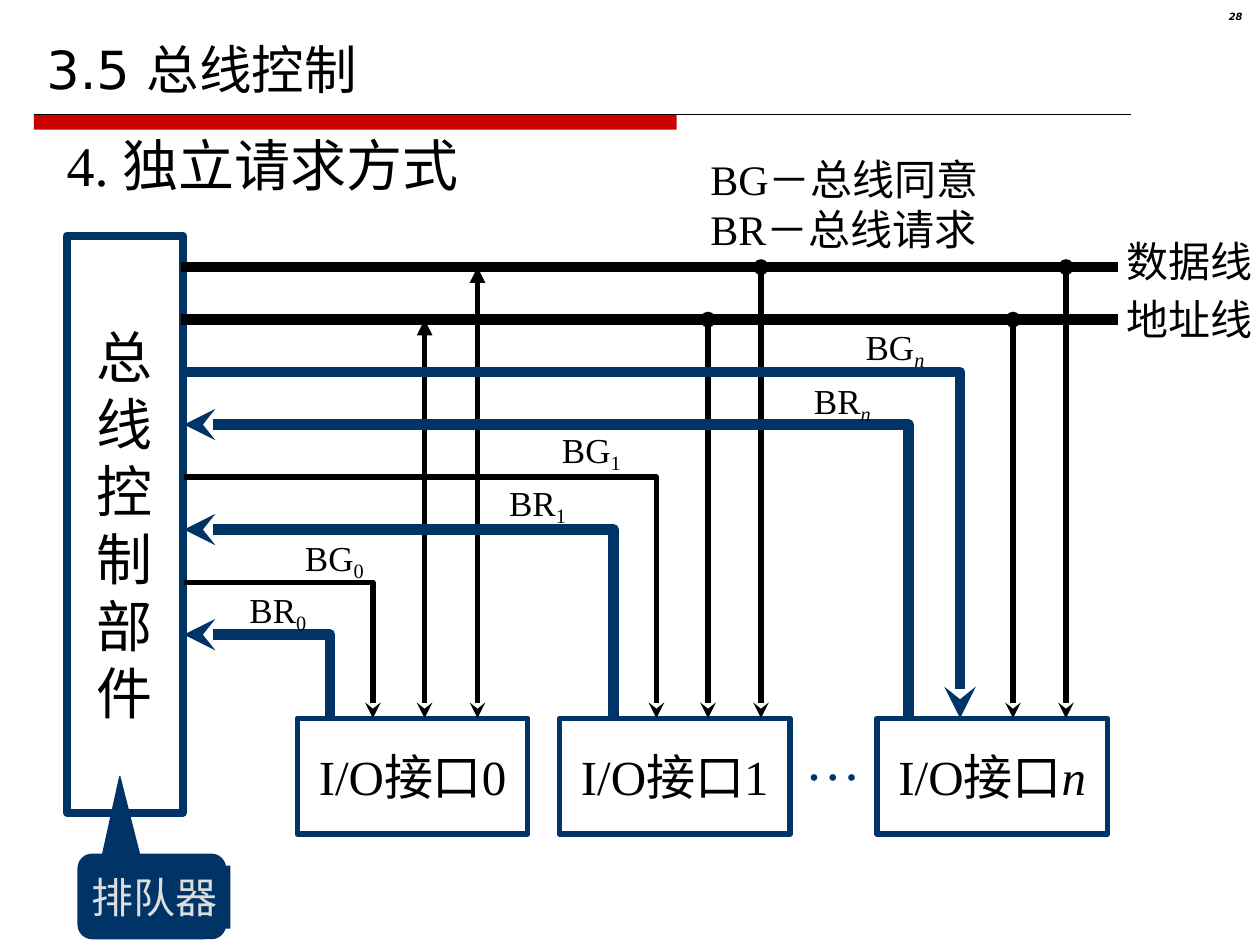
from lxml import etree
from pptx import Presentation
from pptx.dml.color import RGBColor
from pptx.enum import shapes, text
from pptx.oxml.ns import qn
from pptx.util import Inches, Pt

# Content
NAVY, BLACK, RED, PALE = "003366", "000000", "CC0000", "DDDDDD"
SERIF, SANS = "Times New Roman", "DejaVu Sans"
TITLE = "3.5 总线控制"
HEADING = "4. 独立请求方式"
LEGEND = ["BG－总线同意", "BR－总线请求"]
CONTROLLER = "总线控制部件"
BUSES = [("数据线", 1.82), ("地址线", 2.28)]  # label, label top

# Per interface: number, box left, x of BR, BG, address and data lines,
# BG line colour and width, bus-end arrowhead, (left, top) of BR and BG labels
INTERFACES = [
    ("0", 2.36, (2.62, 2.96, 3.37, 3.79), (BLACK, 3), "triangle",
     (1.98, 4.67), (2.42, 4.26)),
    ("1", 4.44, (4.87, 5.21, 5.62, 6.04), (BLACK, 3), "oval",
     (4.04, 3.82), (4.46, 3.40)),
    ("n", 6.96, (7.21, 7.62, 8.04, 8.46), (NAVY, 6), "oval",
     (6.46, 3.01), (6.87, 2.58)),
]

# Layout: buses and request lines share one vertical pitch
BUS_TOP, PITCH = 2.12, 5 / 12
BUS_LEFT, BUS_RIGHT, WIRE_LEFT = 1.44, 8.87, 1.46
IO_TOP, IO_W, IO_H = 5.7, 1.83, 0.92

prs = Presentation()
prs.slide_width, prs.slide_height = Inches(10), Inches(7.5)
s = prs.slides.add_slide(prs.slide_layouts[6])


def rgb(color):
    return RGBColor.from_string(color)


def style_line(sp, color, width, head=None, tail=None):
    sp.line.color.rgb = rgb(color)
    sp.line.width = Pt(width)
    ln = sp.line._get_or_add_ln()
    for tag, kind in (("a:headEnd", head), ("a:tailEnd", tail)):
        if kind:
            etree.SubElement(ln, qn(tag)).set("type", kind)


def write(sp, lines, size, color=BLACK, font=SERIF, align="LEFT", anchor="TOP",
          wrap=False, inset=True):
    """Fill sp with lines; each line is a string or a list of runs."""
    tf = sp.text_frame
    tf.word_wrap = wrap
    tf.vertical_anchor = getattr(text.MSO_ANCHOR, anchor)
    if not inset:
        tf.margin_left = tf.margin_right = tf.margin_top = tf.margin_bottom = 0
    for i, line in enumerate(lines):
        p = tf.paragraphs[0] if i == 0 else tf.add_paragraph()
        p.alignment = getattr(text.PP_ALIGN, align)
        for part in [line] if isinstance(line, str) else line:
            r = p.add_run()
            r.text = part
            r.font.size, r.font.name = Pt(size), font
            r.font.color.rgb = rgb(color)
            r.font.italic = part == "n"
    return tf


def textbox(x, y, w, h, lines, size, **kw):
    sp = s.shapes.add_textbox(Inches(x), Inches(y), Inches(w), Inches(h))
    return write(sp, lines, size, **kw)


def box(x, y, w, h, fill=None, line=None, width=1, kind="RECTANGLE"):
    sp = s.shapes.add_shape(getattr(shapes.MSO_SHAPE, kind),
                            Inches(x), Inches(y), Inches(w), Inches(h))
    sp.shadow.inherit = False
    if fill:
        sp.fill.solid()
        sp.fill.fore_color.rgb = rgb(fill)
    else:
        sp.fill.background()
    if line:
        style_line(sp, line, width)
    else:
        sp.line.fill.background()
    return sp


def connector(x1, y1, x2, y2, width, head=None, tail=None):
    c = s.shapes.add_connector(shapes.MSO_CONNECTOR.STRAIGHT,
                               Inches(x1), Inches(y1), Inches(x2), Inches(y2))
    style_line(c, BLACK, width, head, tail)
    etree.SubElement(c._element.spPr, qn("a:effectLst"))


def elbow(y, x, color, width, head=None, tail=None):
    """Wire from the controller along y, then down to an interface at x."""
    fb = s.shapes.build_freeform(Inches(WIRE_LEFT), Inches(y))
    fb.add_line_segments([(Inches(x), Inches(y)), (Inches(x), Inches(IO_TOP))],
                         close=False)
    sp = fb.convert_to_shape()
    sp.shadow.inherit = False
    sp.fill.background()
    style_line(sp, color, width, head, tail)


def wire_label(pos, name, number):
    tf = textbox(*pos, 0.92, 0.37, [[name, number]], 20, wrap=True, inset=False)
    tf.paragraphs[0].runs[1].font._element.set("baseline", "-20000")


# Title, rule and page number
box(0.27, 0.91, 5.1, 0.12, fill=RED)
connector(0.27, 0.91, 8.98, 0.91, 0.75)
textbox(0.27, 0.13, 9.45, 0.71, [TITLE], 30, font=SANS, anchor="BOTTOM", wrap=True)
tf = textbox(9.37, 0.05, 0.59, 0.23, ["28"], 5.7, font=SANS, align="RIGHT", wrap=True)
tf.paragraphs[0].line_spacing = 0.8
tf.paragraphs[0].runs[0].font.bold = tf.paragraphs[0].runs[0].font.italic = True

# Heading and legend
textbox(0.43, 0.99, 4.6, 0.64, [HEADING], 32, wrap=True)
textbox(5.54, 1.17, 2.58, 0.9, LEGEND, 24, wrap=True)

# Queue callout
sp = box(0.62, 6.78, 1.17, 0.67, NAVY, NAVY, 0.75, "ROUNDED_RECTANGULAR_CALLOUT")
for i, value in enumerate((-0.217, -1.422, 0.167)):
    sp.adjustments[i] = value
write(box(0.63, 6.87, 1.2, 0.5, NAVY), ["排队器"], 24, color=PALE)

# Bus controller and buses
write(box(0.53, 1.87, 0.92, 4.58, line=NAVY, width=4.5), list(CONTROLLER), 32,
      align="CENTER", anchor="MIDDLE")
for i, (name, top) in enumerate(BUSES):
    y = BUS_TOP + i * PITCH
    connector(BUS_LEFT, y, BUS_RIGHT, y, 6)
    textbox(8.84, top, 1.2, 0.5, [name], 24)

# Interfaces with their lines; the last interface takes the highest pair
for i, (number, left, xs, bg_line, bus_end, br_pos, bg_pos) in enumerate(INTERFACES):
    br_x, bg_x, address_x, data_x = xs
    bg_y = BUS_TOP + (6 - 2 * i) * PITCH
    write(box(left, IO_TOP, IO_W, IO_H, line=NAVY, width=3),
          [["I/O接口", number]], 28, align="CENTER", anchor="MIDDLE")
    connector(address_x, BUS_TOP + PITCH, address_x, IO_TOP, 3, bus_end, "stealth")
    connector(data_x, BUS_TOP, data_x, IO_TOP, 3, bus_end, "stealth")
    elbow(bg_y, bg_x, *bg_line, tail="stealth")
    elbow(bg_y + PITCH, br_x, NAVY, 6, head="stealth")
    wire_label(br_pos, "BR", number)
    wire_label(bg_pos, "BG", number)
textbox(6.29, 5.7, 0.64, 0.64, ["…"], 32, color=NAVY)

prs.save("out.pptx")
